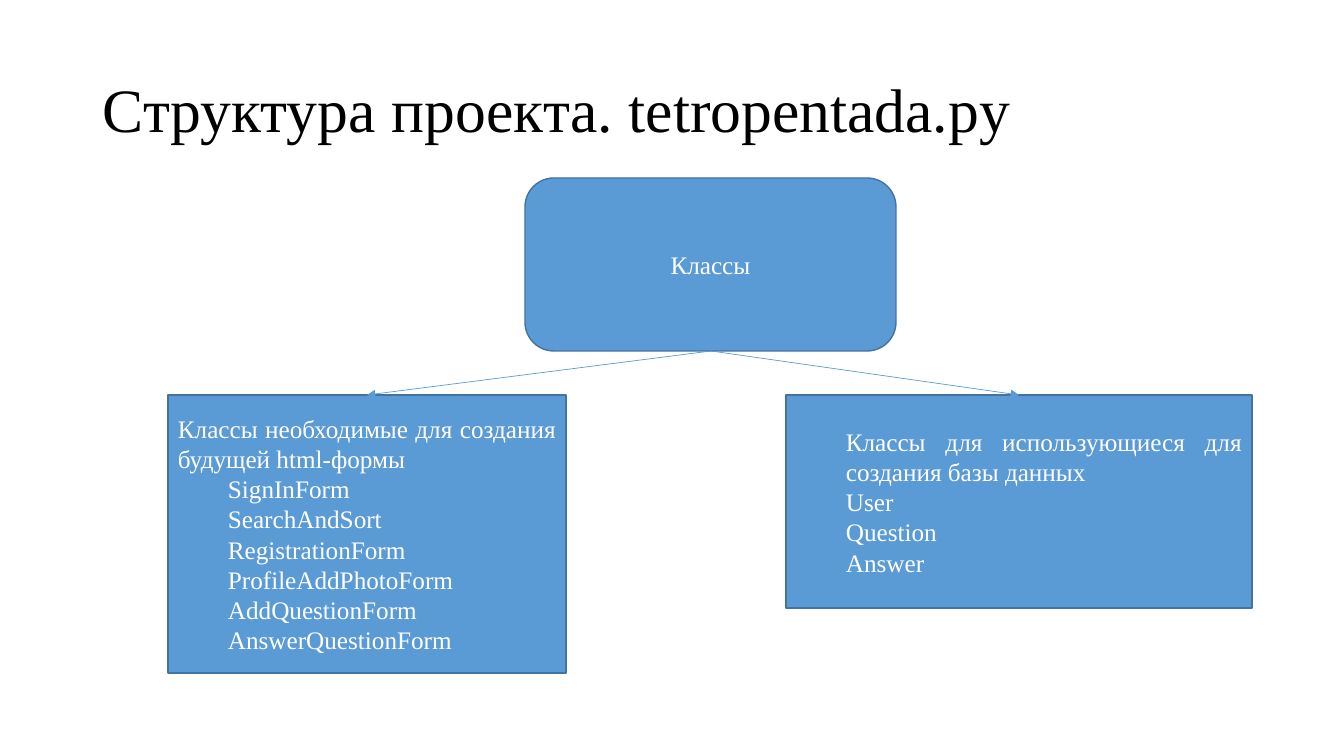
import pptx
import pptx.util
import pptx.dml.color
import pptx.enum.shapes
import pptx.enum.text
import pptx.oxml
import pptx.oxml.ns

PX = 914400 / 100.8
KIND = pptx.enum.shapes.MSO_SHAPE
ALIGN = pptx.enum.text.PP_ALIGN


def px(num):
    return pptx.util.Emu(round(num * PX))


def hue(code):
    return pptx.dml.color.RGBColor.from_string(code)


deck = pptx.Presentation()
deck.slide_width, deck.slide_height = px(1344), px(756)
slide = deck.slides.add_slide(deck.slide_layouts[6])
shapes = slide.shapes

title = shapes.add_textbox(px(93), px(40), px(1159), px(146))

boxes = [
    (KIND.RECTANGLE, (786, 395, 466, 213), ALIGN.JUSTIFY, [
        (50, "Классы для использующиеся для создания базы данных"),
        (50, "User"), (50, "Question"), (50, "Answer")]),
    (KIND.RECTANGLE, (168, 395, 398, 278), ALIGN.JUSTIFY, [
        (0, "Классы необходимые для создания будущей html-формы"),
        (50, "SignInForm"), (50, "SearchAndSort"), (50, "RegistrationForm"),
        (50, "ProfileAddPhotoForm"), (50, "AddQuestionForm"),
        (50, "AnswerQuestionForm")]),
    (KIND.ROUNDED_RECTANGLE, (525, 178, 371, 173), ALIGN.CENTER, [
        (0, "Классы")]),
]

texts = [(title, 44, "000000", ALIGN.LEFT,
          [(0, "Структура проекта. tetropentada.py")])]
for kind, place, align, lines in boxes:
    box = shapes.add_shape(kind, *map(px, place))
    box.shadow.inherit = False
    box.fill.solid()
    box.fill.fore_color.rgb = hue("5B9BD5")
    box.line.color.rgb = hue("43739E")
    box.line.width = pptx.util.Pt(1)
    texts.append((box, 18, "FFFFFF", align, lines))

for box, size, code, align, lines in texts:
    frame = box.text_frame
    look = {"word_wrap": True,
            "vertical_anchor": pptx.enum.text.MSO_ANCHOR.MIDDLE}
    for key, val in look.items():
        setattr(frame, key, val)
    for at, (inset, words) in enumerate(lines):
        para = frame.add_paragraph() if at else frame.paragraphs[0]
        para.alignment = align
        if box is title:
            para.line_spacing = 0.9
        if inset:
            para._p.get_or_add_pPr().set("marL", str(px(inset)))
        run = para.add_run()
        run.text = words
        font = {"name": "Times New Roman", "size": pptx.util.Pt(size)}
        for key, val in font.items():
            setattr(run.font, key, val)
        run.font.color.rgb = hue(code)

for end in (367, 1019):
    arrow = shapes.add_connector(
        pptx.enum.shapes.MSO_CONNECTOR.STRAIGHT,
        px(711), px(351), px(end), px(395))
    arrow.line.color.rgb = hue("5B9BD5")
    arrow.line.width = pptx.util.Pt(0.5)
    tip = pptx.oxml.parse_xml(
        "<a:tailEnd %s type='triangle'/>" % pptx.oxml.ns.nsdecls("a"))
    arrow.line._get_or_add_ln().append(tip)
    flat = pptx.oxml.parse_xml(
        "<a:effectLst %s/>" % pptx.oxml.ns.nsdecls("a"))
    arrow._element.spPr.append(flat)

deck.save("out.pptx")
